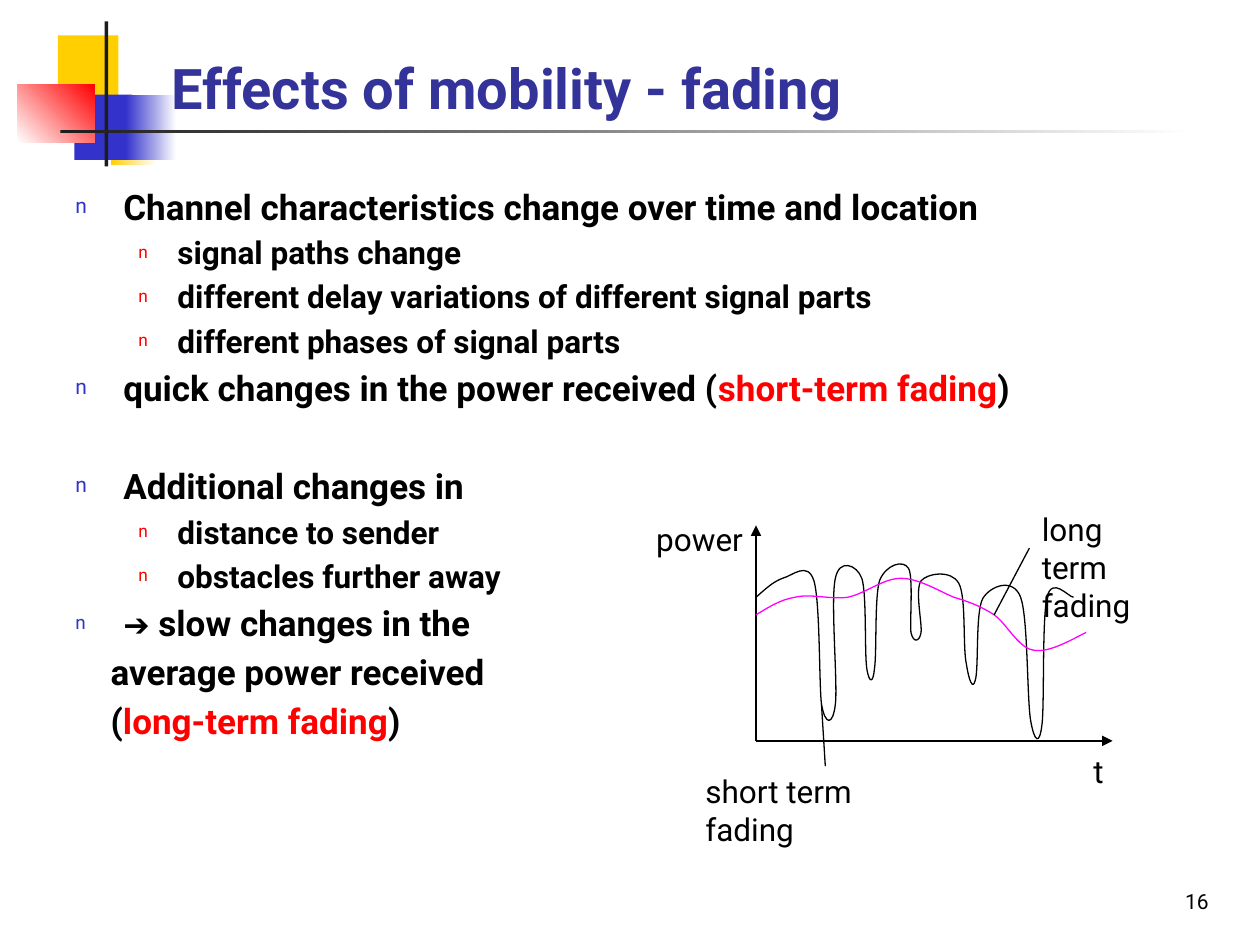
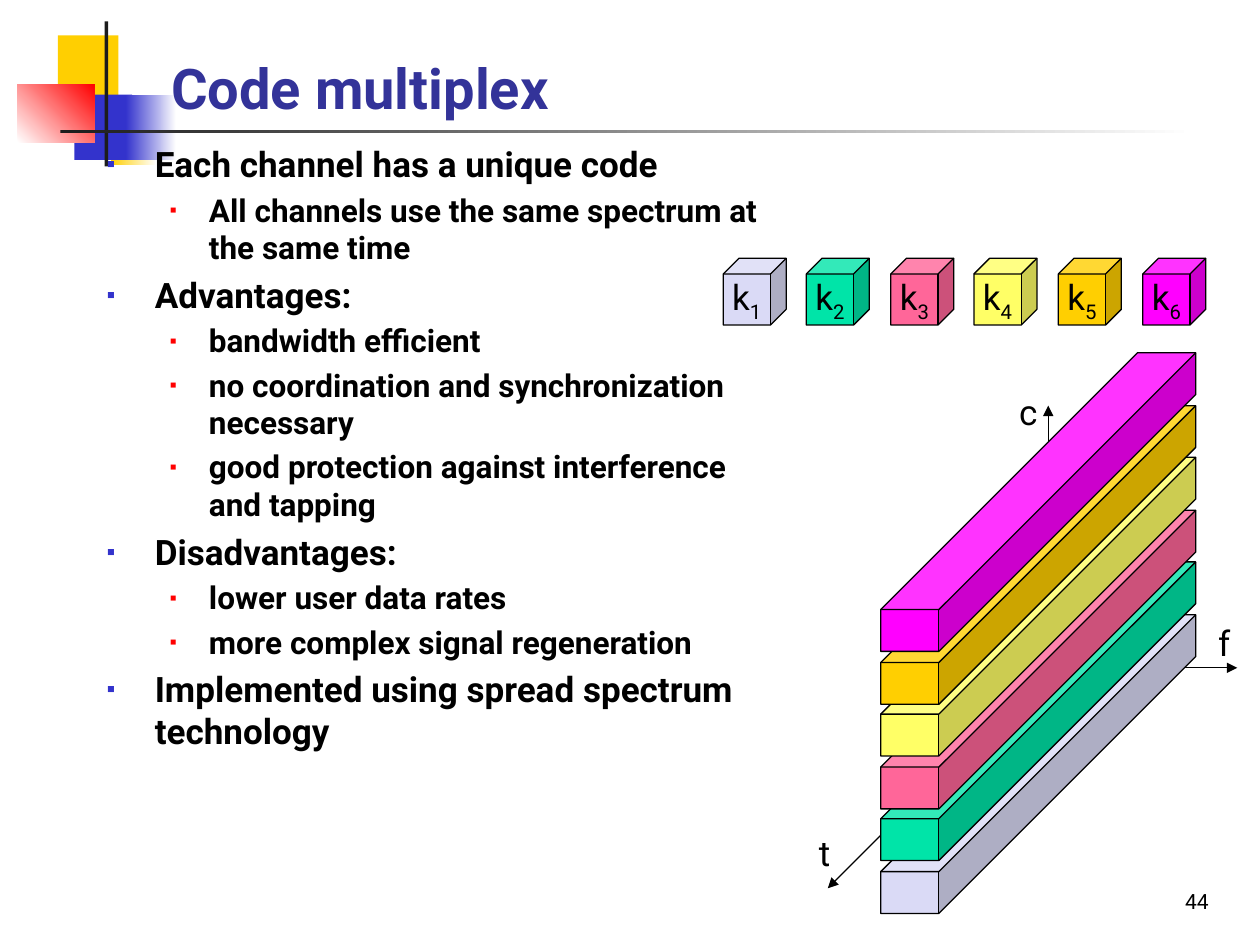
from dataclasses import dataclass

import lxml.etree
import pptx
import pptx.dml.color
import pptx.enum.shapes
import pptx.enum.text
import pptx.oxml.ns
import pptx.util

PX = 9144  # EMU per px, 100 px to the inch
FONT = "Roboto"

COLORS = {
    "white": "FFFFFF", "black": "000000", "ink": "1C1C1C", "title": "333399",
    "blue": "3333CC", "red": "FF0000", "gold": "FFCF01", "lavender": "DADAF6",
    "green": "00E4A8", "rose": "FF6699", "yellow": "FFFF66", "magenta": "FF00FF",
}
CHANNELS = ["lavender", "green", "rose", "yellow", "gold", "magenta"]

SHAPE = pptx.enum.shapes.MSO_SHAPE
ALIGN = pptx.enum.text.PP_ALIGN
ANCHOR = pptx.enum.text.MSO_ANCHOR
qn = pptx.oxml.ns.qn


@dataclass
class Band:
    box: tuple[int, int, int, int]
    color: str
    fade_to: str = ""
    angle: int = 0


@dataclass
class Label:
    text: str
    box: tuple[int, int, int, int]
    size: int = 18
    wrap: bool = False


@dataclass
class Line:
    start: tuple[int, int]
    end: tuple[int, int]
    arrow: bool = False


@dataclass
class Run:
    text: str
    color: str = "black"
    size: int = 0


@dataclass
class Level:
    size: int
    margin: int
    indent: int
    bullet_color: str = ""
    bullet_percent: int = 0


@dataclass
class Item:
    level: Level
    runs: list[Run]
    gap: int = 0


POINT = Level(20, 38, -38, "blue", 60)
DETAIL = Level(18, 81, -31, "red", 55)
CONTINUED = Level(20, 28, 0)

# Corner emblem and title rule, back to front
BANDS = [
    Band((46, 28, 48, 52), "gold"),
    Band((88, 79, 36, 52), "gold", "white"),
    Band((59, 75, 46, 52), "blue"),
    Band((100, 75, 40, 52), "blue", "white"),
    Band((14, 67, 61, 46), "white", "red", 45),
    Band((83, 17, 3, 115), "ink"),
    Band((48, 103, 900, 3), "ink", "white"),
]

FADING_ITEMS = [
    Item(POINT, [Run("Channel characteristics change over time and location")]),
    Item(DETAIL, [Run("signal paths change")]),
    Item(DETAIL, [Run("different delay variations of different signal parts")]),
    Item(DETAIL, [Run("different phases of signal parts")]),
    Item(POINT, [Run("quick changes in the power received ("),
                 Run("short-term fading", "red"), Run(")")]),
    Item(POINT, [Run("Additional changes in")], gap=28),
    Item(DETAIL, [Run("distance to sender")]),
    Item(DETAIL, [Run("obstacles further away")]),
    Item(POINT, [Run("➔", size=18), Run(" slow changes in the")]),
    Item(CONTINUED, [Run("average power received")]),
    Item(CONTINUED, [Run("("), Run("long-term fading", "red"), Run(")")]),
]
MULTIPLEX_ITEMS = [
    Item(POINT, [Run("Each channel has a unique code")]),
    Item(DETAIL, [Run("All channels use the same spectrum at the same time")]),
    Item(POINT, [Run("Advantages:")]),
    Item(DETAIL, [Run("bandwidth efficient")]),
    Item(DETAIL, [Run("no coordination and synchronization necessary")]),
    Item(DETAIL, [Run("good protection against interference and tapping")]),
    Item(POINT, [Run("Disadvantages:")]),
    Item(DETAIL, [Run("lower user data rates")]),
    Item(DETAIL, [Run("more complex signal regeneration")]),
    Item(POINT, [Run("Implemented using spread spectrum technology")]),
]

# Bezier knots: a start, then two controls and an end per segment
SHORT_TERM = [
    (600, 474), (607, 468), (613, 462), (621, 459), (629, 457), (641, 445), (646, 461),
    (651, 478), (650, 543), (652, 559), (655, 576), (661, 576), (663, 559),
    (665, 543), (659, 476), (663, 459), (666, 443), (680, 448), (684, 459),
    (688, 471), (686, 519), (688, 531), (690, 543), (693, 542), (694, 531),
    (696, 519), (694, 475), (698, 461), (703, 448), (717, 444), (721, 451),
    (725, 457), (722, 494), (723, 502), (725, 511), (730, 509), (731, 502),
    (732, 495), (726, 468), (731, 461), (736, 455), (755, 452), (761, 463),
    (767, 474), (764, 514), (767, 527), (769, 540), (772, 548), (774, 540),
    (777, 531), (774, 486), (780, 475), (786, 465), (804, 458), (810, 474),
    (816, 490), (815, 555), (818, 572), (821, 589), (825, 592), (827, 575),
    (829, 559), (827, 491), (831, 474), (835, 457), (848, 474), (852, 474),
]
LONG_TERM = [
    (600, 488), (610, 482), (619, 476), (631, 474), (644, 471), (659, 476), (673, 474),
    (687, 471), (701, 459), (715, 459), (729, 459), (745, 469), (757, 474),
    (770, 478), (778, 481), (789, 488), (799, 495), (808, 514), (820, 516),
    (833, 519), (855, 505), (862, 502),
]
POWER_AXES = [Line((600, 588), tip, arrow=True) for tip in [(883, 588), (600, 417)]]
POINTERS = [Line((817, 435), (789, 488)), Line((655, 608), (652, 559))]
FADING_LABELS = [
    Label("short term fading", (550, 608, 208, 71), wrap=True),
    Label("long term\nfading", (817, 400, 123, 98), wrap=True),
    Label("t", (858, 592, 27, 40)),
    Label("power", (511, 408, 89, 40)),
]
MULTIPLEX_AXES = [Line((832, 530), tip, arrow=True)
                  for tip in [(657, 705), (832, 322), (982, 530)]]
MULTIPLEX_LABELS = [
    Label("f", (957, 488, 28, 44), 20),
    Label("t", (640, 655, 28, 44), 20),
    Label("c", (799, 305, 34, 44), 20),
]


def rgb(name: str) -> pptx.dml.color.RGBColor:
    return pptx.dml.color.RGBColor.from_string(COLORS[name])


def scaled(lengths: tuple[int, ...]) -> list[int]:
    return [length * PX for length in lengths]


def style(run, size: int, color: str = "black", bold: bool = False) -> None:
    run.font.name = FONT
    run.font.size = pptx.util.Pt(size)
    run.font.color.rgb = rgb(color)
    run.font.bold = bold


def outline(drawn, color: str = "black") -> None:
    drawn.line.color.rgb = rgb(color)
    drawn.line.width = pptx.util.Pt(0.75)


def draw_text(slide, label: Label, color: str = "black", bold: bool = False):
    frame = slide.shapes.add_textbox(*scaled(label.box)).text_frame
    frame.text = label.text
    frame.word_wrap = label.wrap
    for paragraph in frame.paragraphs:
        for run in paragraph.runs:
            style(run, label.size, color, bold)
    return frame


def draw_band(slide, band: Band) -> None:
    block = slide.shapes.add_shape(SHAPE.RECTANGLE, *scaled(band.box))
    block.shadow.inherit = False
    block.line.fill.background()
    if band.fade_to:
        block.fill.gradient()
        block.fill.gradient_angle = band.angle
        for stop, color in zip(block.fill.gradient_stops, (band.color, band.fade_to)):
            stop.color.rgb = rgb(color)
    else:
        block.fill.solid()
        block.fill.fore_color.rgb = rgb(band.color)


def draw_line(slide, line: Line) -> None:
    connector = slide.shapes.add_connector(
        pptx.enum.shapes.MSO_CONNECTOR.STRAIGHT, *scaled(line.start + line.end))
    outline(connector)
    properties = connector._element.spPr
    if line.arrow:
        lxml.etree.SubElement(properties.find(qn("a:ln")), qn("a:tailEnd"), type="triangle")
    lxml.etree.SubElement(properties, qn("a:effectLst"))


def draw_curve(slide, knots: list[tuple[int, int]], color: str) -> None:
    builder = slide.shapes.build_freeform(*knots[0], scale=PX)
    builder.add_line_segments(knots[1:], close=False)
    curve = builder.convert_to_shape()
    # Turn every three straight pieces into one Bezier segment
    pieces = list(curve._element.iter(qn("a:lnTo")))
    for first in range(0, len(pieces), 3):
        bezier = lxml.etree.Element(qn("a:cubicBezTo"))
        pieces[first].addprevious(bezier)
        for piece in pieces[first:first + 3]:
            bezier.append(piece[0])
            piece.getparent().remove(piece)
    curve.shadow.inherit = False
    curve.fill.background()
    outline(curve, color)


def draw_cube(slide, box: tuple[int, int, int, int], depth: float, color: str):
    cube = slide.shapes.add_shape(SHAPE.CUBE, *scaled(box))
    cube.adjustments[0] = depth
    cube.shadow.inherit = False
    cube.fill.solid()
    cube.fill.fore_color.rgb = rgb(color)
    outline(cube)
    return cube


def draw_key(slide, index: int, color: str) -> None:
    cube = draw_cube(slide, (574 + int(index * 66.6), 205, 50, 53), 0.25, color)
    frame = cube.text_frame
    frame.word_wrap = False
    frame.vertical_anchor = ANCHOR.MIDDLE
    paragraph = frame.paragraphs[0]
    paragraph.alignment = ALIGN.CENTER
    paragraph.text = "k"
    subscript = paragraph.add_run()
    subscript.text = str(index + 1)
    for run in paragraph.runs:
        style(run, 20)
    subscript._r.get_or_add_rPr().set("baseline", "-25000")


def draw_body(slide, box: tuple[int, int, int, int], items: list[Item], bullet: str) -> None:
    frame = slide.shapes.add_textbox(*scaled(box)).text_frame
    frame.word_wrap = True
    for index, item in enumerate(items):
        paragraph = frame.add_paragraph() if index else frame.paragraphs[0]
        level = item.level
        paragraph.space_before = pptx.util.Pt(level.size * 0.2 + item.gap)
        for part in item.runs:
            run = paragraph.add_run()
            run.text = part.text
            style(run, part.size or level.size, part.color, bold=True)
        properties = paragraph._p.get_or_add_pPr()
        properties.set("marL", str(level.margin * PX))
        properties.set("indent", str(level.indent * PX))
        if level.bullet_color:
            tint = lxml.etree.SubElement(properties, qn("a:buClr"))
            lxml.etree.SubElement(tint, qn("a:srgbClr"), val=COLORS[level.bullet_color])
            lxml.etree.SubElement(properties, qn("a:buSzPct"), val=str(level.bullet_percent * 1000))
            lxml.etree.SubElement(properties, qn("a:buFont"), typeface=FONT)
            lxml.etree.SubElement(properties, qn("a:buChar"), char=bullet)


def start_slide(deck, title: str, number: int):
    slide = deck.slides.add_slide(deck.slide_layouts[6])
    for band in BANDS:
        draw_band(slide, band)
    heading = draw_text(slide, Label(title, (126, 18, 852, 83), 32, True), "title", bold=True)
    heading.vertical_anchor = ANCHOR.BOTTOM
    footer = draw_text(slide, Label(str(number), (900, 700, 100, 50), 12, True))
    footer.paragraphs[0].alignment = ALIGN.CENTER
    return slide


def main() -> None:
    deck = pptx.Presentation()
    deck.slide_width, deck.slide_height = scaled((1000, 750))

    # Fading: points and the power-over-time sketch
    fading = start_slide(deck, "Effects of mobility - fading", 16)
    draw_body(fading, (50, 142, 908, 567), FADING_ITEMS, "n")
    for axis in POWER_AXES:
        draw_line(fading, axis)
    draw_curve(fading, SHORT_TERM, "black")
    draw_curve(fading, LONG_TERM, "magenta")
    for pointer in POINTERS:
        draw_line(fading, pointer)
    for label in FADING_LABELS:
        draw_text(fading, label)

    # Code multiplex: axes behind the stacked channels, keys above
    multiplex = start_slide(deck, "Code multiplex", 44)
    for axis in MULTIPLEX_AXES:
        draw_line(multiplex, axis)
    draw_body(multiplex, (75, 108, 542, 558), MULTIPLEX_ITEMS, "▪")
    for index, color in enumerate(CHANNELS):
        draw_cube(multiplex, (699, 488 - round(index * 41.6), 250, 237), 0.86, color)
    for index, color in enumerate(CHANNELS):
        draw_key(multiplex, index, color)
    for label in MULTIPLEX_LABELS:
        draw_text(multiplex, label)

    deck.save("out.pptx")


if __name__ == "__main__":
    main()
